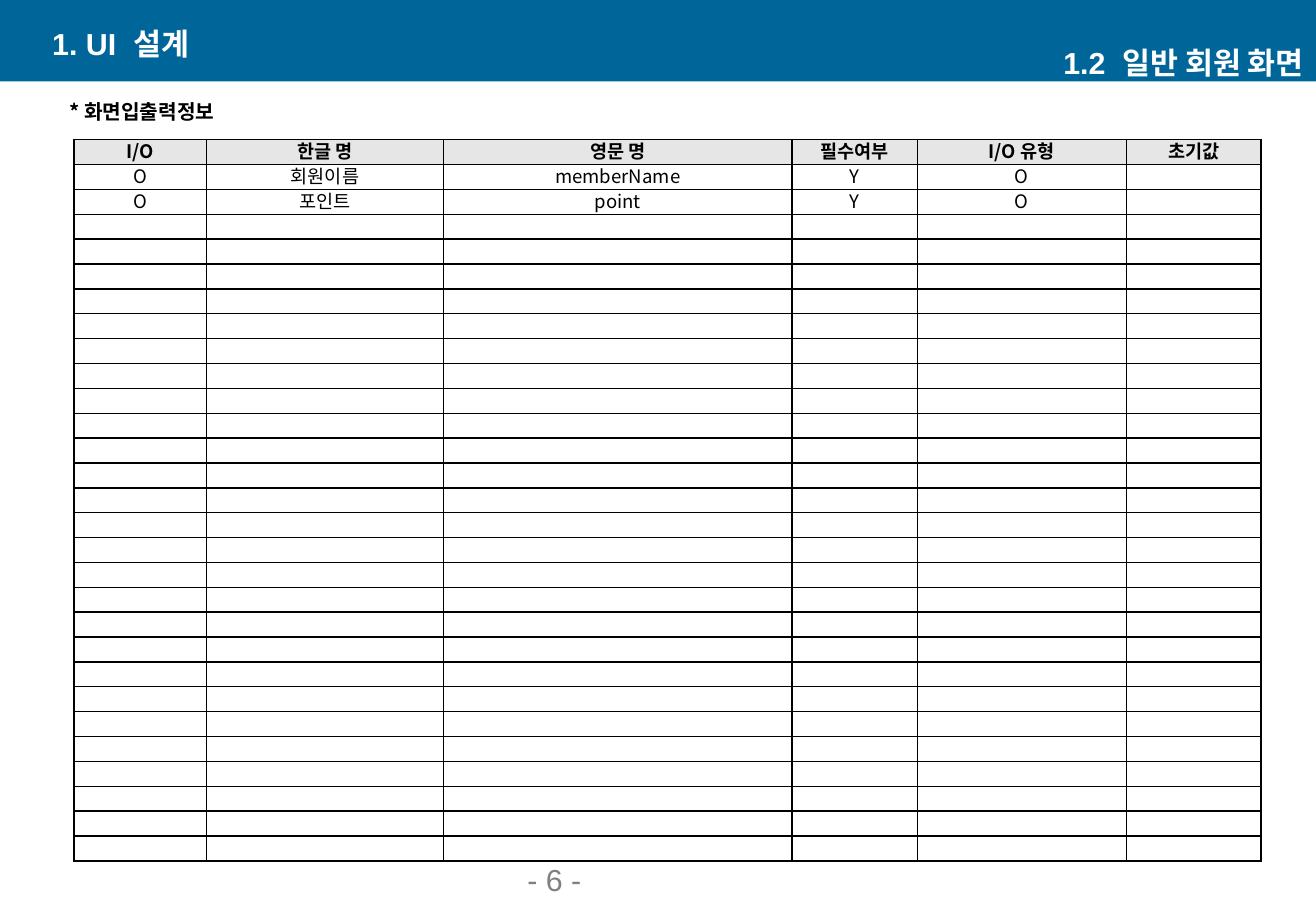
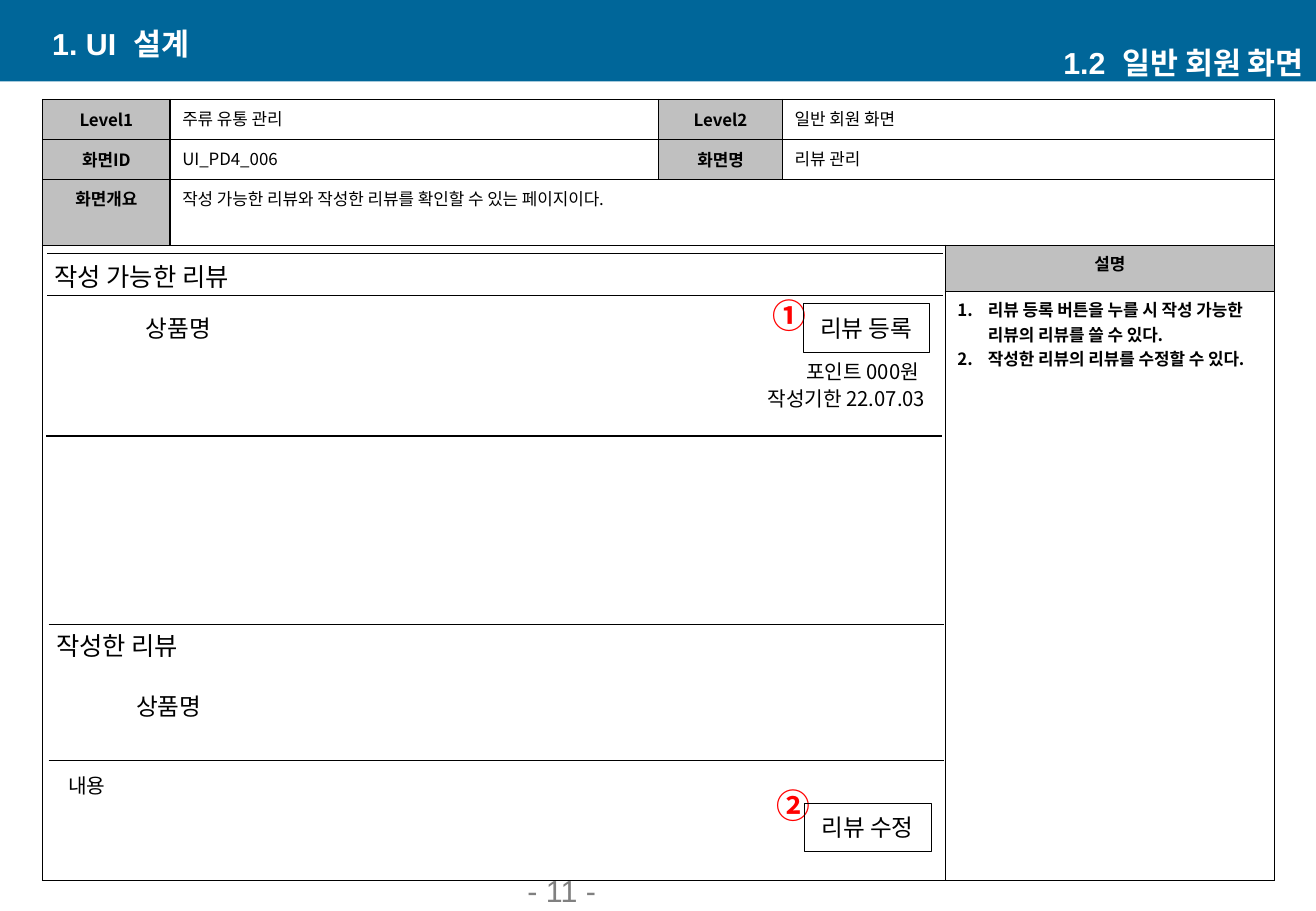
import lxml.etree
import pptx
import pptx.dml.color
import pptx.enum.shapes
import pptx.enum.text
import pptx.oxml.ns
import pptx.util

PX = 9144
SANS = "Noto Sans CJK KR"
BLACK, WHITE, RED, BLUE = "000000", "FFFFFF", "FF0000", "006699"
Pt = pptx.util.Pt
qn = pptx.oxml.ns.qn
ALIGN = pptx.enum.text.PP_ALIGN
ANCHOR = pptx.enum.text.MSO_ANCHOR
RECT = pptx.enum.shapes.MSO_SHAPE.RECTANGLE
LINE = pptx.enum.shapes.MSO_CONNECTOR.STRAIGHT


def tint(code):
    return pptx.dml.color.RGBColor.from_string(code)


def write(frame, text, size, color=BLACK, bold=False, name=SANS, align=ALIGN.CENTER, lead=None):
    look = {"size": Pt(size), "bold": bold, "name": name}
    for n, words in enumerate(text.split("\n")):
        para = frame.paragraphs[0] if n == 0 else frame.add_paragraph()
        para.alignment = align
        para.line_spacing = lead
        if words:
            run = para.add_run()
            run.text = words
            for key, val in look.items():
                setattr(run.font, key, val)
            run.font.color.rgb = tint(color)
            face = lxml.etree.SubElement(run.font._element, qn("a:ea"))
            face.set("typeface", SANS)
        else:
            lxml.etree.SubElement(para._p, qn("a:endParaRPr"), sz="800")


deck = pptx.Presentation()
deck.slide_width, deck.slide_height = 1083 * PX, 750 * PX
layout = deck.slide_layouts[5]
slides = [deck.slides.add_slide(layout) for n in range(2)]

band = slides[0].shapes.add_shape(RECT, 0, 0, 1083 * PX, 67 * PX)
band.shadow.inherit = False
band.fill.solid()
band.fill.fore_color.rgb = tint(BLUE)
band.line.fill.background()
layout.shapes.element.insert(2, band.element)

sheets = [
    {
        "box": (61, 115, 976, 594), "cols": (109, 195, 287, 103, 172, 111), "rows": (),
        "cells": [
            ("I/O", "한글 명", "영문 명", "필수여부", "I/O 유형", "초기값"),
            ("O", "회원이름", "memberName", "Y", "O", ""),
            ("O", "포인트", "point", "Y", "O", ""),
        ] + [("",) * 6] * 26,
        "heads": [(0, c) for c in range(6)], "list": None, "merge": (),
        "fill": "E6E6E6", "size": 11, "lead": Pt(14), "pad": (1, 0), "plain": True,
    },
    {
        "box": (35, 82, 1014, 643), "cols": (105, 402, 102, 134, 271), "rows": (33, 33, 54, 38, 485),
        "cells": [
            ("Level1", "주류 유통 관리", "Level2", "일반 회원 화면", ""),
            ("화면ID", "UI_PD4_006", "화면명", "리뷰 관리", ""),
            ("화면개요", "작성 가능한 리뷰와 작성한 리뷰를 확인할 수 있는 페이지이다.", "", "", ""),
            ("", "", "", "", "설명"),
            ("", "", "", "", "리뷰 등록 버튼을 누를 시 작성 가능한 리뷰의 리뷰를 쓸 수 있다.\n"
                             "작성한 리뷰의 리뷰를 수정할 수 있다."),
        ],
        "heads": [(0, 0), (0, 2), (1, 0), (1, 2), (2, 0), (3, 4)], "list": (4, 4),
        "merge": ((0, 3, 0, 4), (1, 3, 1, 4), (2, 1, 2, 4), (3, 0, 4, 3)),
        "fill": "C0C0C0", "size": 10, "lead": None, "pad": (10, 5), "plain": False,
    },
]

for slide, sheet in zip(slides, sheets):
    cells = sheet["cells"]
    area = [v * PX for v in sheet["box"]]
    table = slide.shapes.add_table(len(cells), len(sheet["cols"]), *area).table
    table.first_row = table.horz_banding = False
    for col, width in zip(table.columns, sheet["cols"]):
        col.width = width * PX
    for row, height in zip(table.rows, sheet["rows"]):
        row.height = height * PX
    for r, row in enumerate(cells):
        for c, text in enumerate(row):
            cell = table.cell(r, c)
            head, items = (r, c) in sheet["heads"], (r, c) == sheet["list"]
            plain = sheet["plain"]
            side, edge = [v * PX for v in sheet["pad"]]
            form = {
                "margin_left": side, "margin_right": side,
                "margin_top": edge, "margin_bottom": edge,
                "vertical_anchor": ANCHOR.MIDDLE if plain or head and r < 2 else ANCHOR.TOP,
            }
            for key, val in form.items():
                setattr(cell, key, val)
            write(cell.text_frame, text, sheet["size"], bold=head or items,
                  align=ALIGN.CENTER if plain or head else ALIGN.LEFT,
                  lead=sheet["lead"] if text else Pt(10))
            if head:
                cell.fill.solid()
                cell.fill.fore_color.rgb = tint(sheet["fill"])
            else:
                cell.fill.background()
            props = cell._tc.get_or_add_tcPr()
            for n, key in enumerate("LRTB"):
                rule = lxml.etree.Element(qn("a:ln" + key), w=str(Pt(1)))
                ink = lxml.etree.SubElement(rule, qn("a:solidFill"))
                lxml.etree.SubElement(ink, qn("a:srgbClr"), val=BLACK)
                props.insert(n, rule)
            if items:
                for para in cell.text_frame.paragraphs:
                    props = para._p.get_or_add_pPr()
                    props.set("marL", str(25 * PX))
                    props.set("indent", str(-25 * PX))
                    lxml.etree.SubElement(props, qn("a:buAutoNum"), type="arabicPeriod")
    for r, c, end, last in sheet["merge"]:
        table.cell(r, c).merge(table.cell(end, last))

for x, y in ((39, 209), (39, 243), (38, 359), (40, 514), (40, 626)):
    line = slides[1].shapes.add_connector(LINE, x * PX, y * PX, (x + 737) * PX, y * PX)
    line.line.color.rgb = tint(BLACK)
    line.line.width = Pt(0.75)
    lxml.etree.SubElement(line.element.spPr, qn("a:effectLst"))

bar = {"size": 18, "name": "Arial", "color": WHITE, "bold": True}
foot = {"size": 18, "name": "Arial", "color": "808080", "align": ALIGN.LEFT}
mark = {"size": 20, "color": RED, "bold": True}
left = {"align": ALIGN.LEFT}
right = {"align": ALIGN.RIGHT}
notes = [
    (0, "text", (57, 77, 132, 30), "* 화면입출력정보", {"size": 12, "bold": True, **left}),
    (0, "text", (434, 710, 206, 29), "- 6 -", foot),
    (1, "text", (434, 719, 206, 29), "- 11 -", foot),
    (1, "text", (32, 210, 169, 35), "작성 가능한 리뷰", {"size": 15}),
    (1, "text", (95, 253, 104, 34), "상품명", {"size": 14}),
    (1, "text", (645, 291, 130, 30), "포인트 000원", {"size": 12}),
    (1, "text", (615, 313, 163, 30), "작성기한 22.07.03", {"size": 12}),
    (1, "text", (27, 514, 139, 35), "작성한 리뷰", {"size": 15}),
    (1, "text", (87, 564, 104, 34), "상품명", {"size": 14}),
    (1, "text", (34, 632, 75, 30), "내용", {"size": 12}),
    (1, "text", (628, 237, 44, 44), "①", mark),
    (1, "text", (631, 641, 44, 44), "②", mark),
    (1, "frame", (661, 250, 104, 40), "리뷰 등록", {"size": 14}),
    (1, "frame", (662, 661, 104, 40), "리뷰 수정", {"size": 14}),
]
for n in range(2):
    notes.append((n, "title", (43, 19, 418, 33), "1. UI  설계", {**bar, **left}))
    notes.append((n, "text", (655, 35, 418, 33), "1.2  일반 회원 화면", {**bar, **right}))

for n, kind, box, text, look in notes:
    shapes = slides[n].shapes
    area = [v * PX for v in box]
    if kind == "title":
        shape = shapes.title
        shape.left, shape.top, shape.width, shape.height = area
    elif kind == "frame":
        shape = shapes.add_shape(RECT, *area)
        shape.shadow.inherit = False
        shape.fill.background()
        shape.line.color.rgb = tint(BLACK)
        shape.line.width = Pt(0.25)
    else:
        shape = shapes.add_textbox(*area)
    form = {
        "margin_left": 0, "margin_right": 0, "margin_top": 0, "margin_bottom": 0,
        "word_wrap": True, "auto_size": pptx.enum.text.MSO_AUTO_SIZE.NONE,
        "vertical_anchor": ANCHOR.BOTTOM if look is foot else ANCHOR.MIDDLE,
    }
    for key, val in form.items():
        setattr(shape.text_frame, key, val)
    write(shape.text_frame, text, **look)

deck.save("out.pptx")
